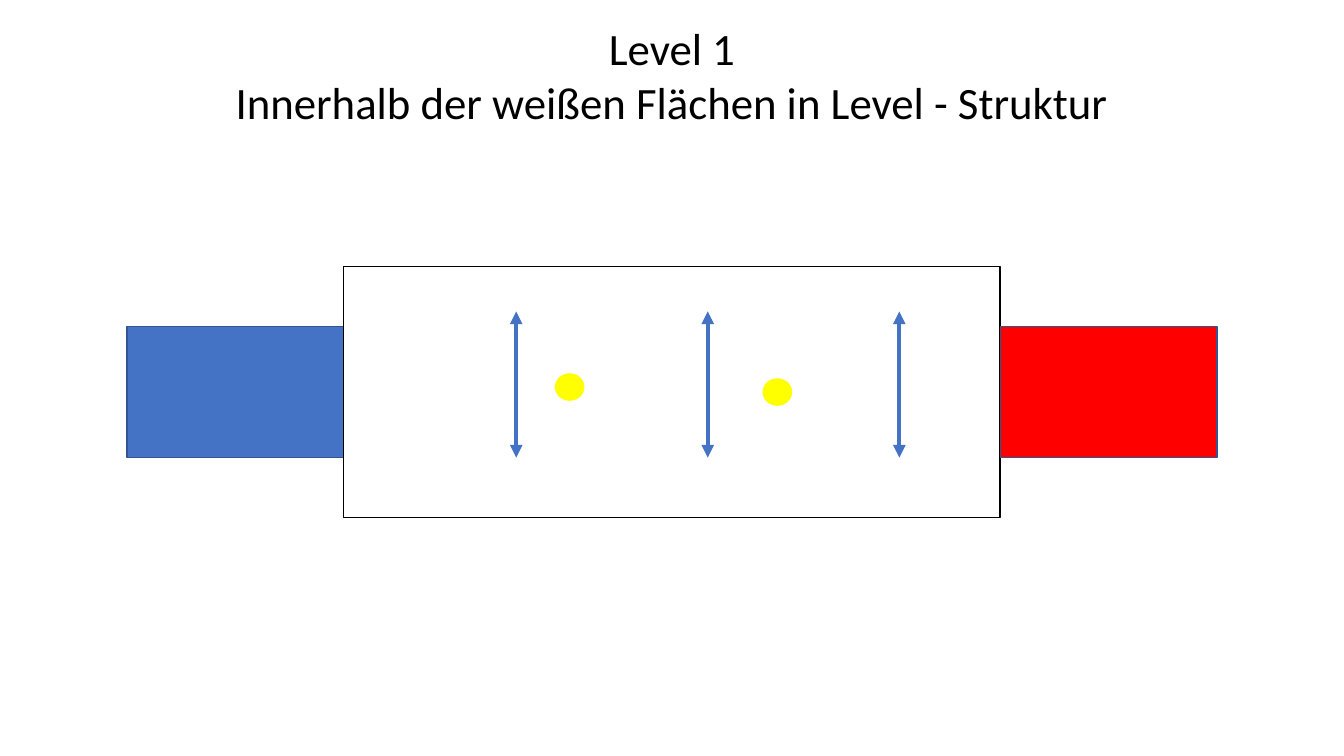
from lxml import etree
from pptx import Presentation
from pptx.dml.color import RGBColor
from pptx.enum.shapes import MSO_CONNECTOR, MSO_SHAPE
from pptx.enum.text import MSO_ANCHOR, MSO_AUTO_SIZE, PP_ALIGN
from pptx.oxml.ns import qn
from pptx.util import Inches, Pt

RECT, OVAL = MSO_SHAPE.RECTANGLE, MSO_SHAPE.OVAL
LINE = MSO_CONNECTOR.STRAIGHT

# Content
TITLE = ["Level 1", "Innerhalb der weißen Flächen in Level - Struktur"]
COLORS = {"black": "000000", "white": "FFFFFF", "blue": "4472C4",
          "navy": "325491", "red": "FF0000", "yellow": "FFFF00"}
ZONES = [  # width, height, fill, outline
    (2.15, 1.30, "blue", "navy"),
    (6.51, 2.49, "white", "black"),
    (2.15, 1.30, "red", "navy"),
]
COINS = [(5.65, 3.84), (7.71, 3.89)]  # centres
COIN = (0.28, 0.26)

# Layout
WIDE, HIGH = 13.33, 7.5
MID = 3.89
LEFT = (WIDE - sum(zone[0] for zone in ZONES)) / 2
PATHS, FIRST, STEP = 3, 5.12, 1.90
TOP, END = 3.09, 4.54


def color(name):
    return RGBColor.from_string(COLORS[name])


def add_form(kind, x, y, w, h, fill, edge):
    form = slide.shapes.add_shape(kind, Inches(x), Inches(y), Inches(w), Inches(h))
    form.shadow.inherit = False
    form.fill.solid()
    form.fill.fore_color.rgb = color(fill)
    form.line.color.rgb = color(edge)
    form.line.width = Pt(1)


def add_path(x):
    path = slide.shapes.add_connector(LINE, Inches(x), Inches(TOP), Inches(x), Inches(END))
    path.line.color.rgb = color("blue")
    path.line.width = Pt(3)
    props = path.element.spPr
    ln = props.find(qn("a:ln"))
    for end in ("a:headEnd", "a:tailEnd"):
        etree.SubElement(ln, qn(end), type="triangle")
    etree.SubElement(props, qn("a:effectLst"))


prs = Presentation()
prs.slide_width, prs.slide_height = Inches(WIDE), Inches(HIGH)
slide = prs.slides.add_slide(prs.slide_layouts[5])

# Title
title = slide.shapes.title
title.left, title.top = Inches(0), Inches(0.16)
title.width, title.height = Inches(WIDE), Inches(1.18)
frame = title.text_frame
frame.text = "\n".join(TITLE)
frame.word_wrap = True
frame.auto_size = MSO_AUTO_SIZE.NONE
frame.vertical_anchor = MSO_ANCHOR.TOP
for para in frame.paragraphs:
    para.alignment = PP_ALIGN.CENTER
    for run in para.runs:
        run.font.name = "Calibri"
        run.font.size = Pt(32)
        run.font.color.rgb = color("black")

# Start, field and goal, side by side
x = LEFT
for w, h, fill, edge in ZONES:
    add_form(RECT, x, MID - h / 2, w, h, fill, edge)
    x += w

# Paths of the moving enemies
for i in range(PATHS):
    add_path(FIRST + i * STEP)

# Coins
w, h = COIN
for x, y in COINS:
    add_form(OVAL, x - w / 2, y - h / 2, w, h, "yellow", "yellow")

prs.save("out.pptx")
